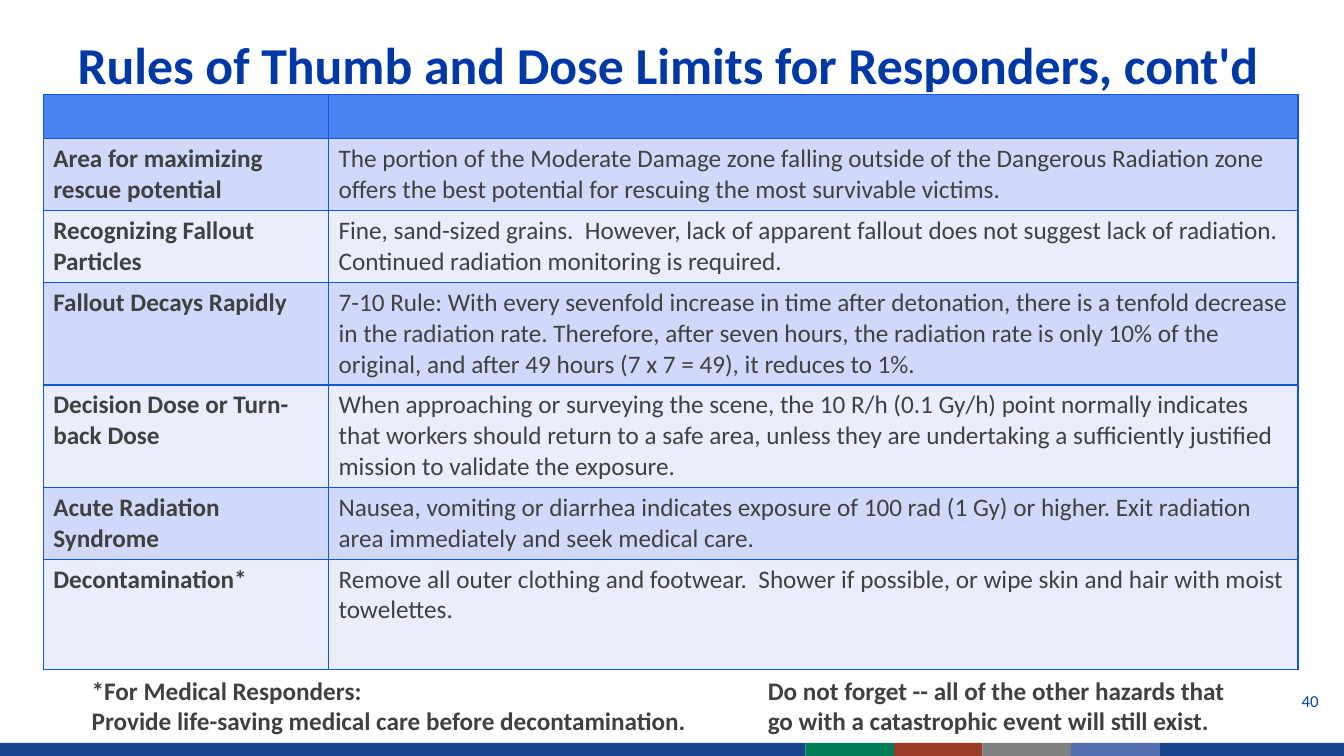
"""Build the slide on rules of thumb and dose limits for responders."""
from dataclasses import dataclass

from lxml import etree
from pptx import Presentation
from pptx.dml.color import RGBColor
from pptx.enum.shapes import MSO_SHAPE
from pptx.enum.text import MSO_ANCHOR, MSO_AUTO_SIZE, PP_ALIGN
from pptx.oxml.ns import qn
from pptx.slide import Slide
from pptx.table import _Cell
from pptx.text.text import TextFrame
from pptx.util import Cm, Pt

RECT = MSO_SHAPE.RECTANGLE
TOP, BOTTOM = MSO_ANCHOR.TOP, MSO_ANCHOR.BOTTOM
LEFT, RIGHT = PP_ALIGN.LEFT, PP_ALIGN.RIGHT
FIXED = MSO_AUTO_SIZE.NONE


@dataclass(frozen=True)
class Theme:
    """Hold the colours and type sizes."""
    font: str = "Calibri"
    title: str = "0039A6"
    text: str = "404040"
    page: str = "0B41A5"
    edge: str = "0F56DC"
    head: str = "4983F2"
    bands: tuple[str, str] = ("D0D9FA", "E9EDFC")
    large: float = 37
    body: float = 18
    small: float = 12


@dataclass(frozen=True)
class Rule:
    """Describe one table row."""
    name: str
    text: str
    height: float


@dataclass(frozen=True)
class Note:
    """Describe one text box, in centimetres."""
    lines: tuple[str, ...]
    left: float
    top: float
    width: float
    height: float


@dataclass(frozen=True)
class Bar:
    """Describe one piece of the footer band."""
    color: str
    left: float
    width: float


THEME = Theme()
TWO, THREE = 1.81, 2.58
RULES = (
    Rule("Area for maximizing rescue potential",
         "The portion of the Moderate Damage zone falling outside of the Dangerous Radiation zone "
         "offers the best potential for rescuing the most survivable victims.", TWO),
    Rule("Recognizing Fallout Particles",
         "Fine, sand-sized grains.  However, lack of apparent fallout does not suggest lack of "
         "radiation.  Continued radiation monitoring is required.", TWO),
    Rule("Fallout Decays Rapidly",
         "7-10 Rule: With every sevenfold increase in time after detonation, there is a tenfold "
         "decrease in the radiation rate. Therefore, after seven hours, the radiation rate is only "
         "10% of the original, and after 49 hours (7 x 7 = 49), it reduces to 1%.", THREE),
    Rule("Decision Dose or Turn-back Dose",
         "When approaching or surveying the scene, the 10 R/h (0.1 Gy/h) point normally indicates "
         "that workers should return to a safe area, unless they are undertaking a sufficiently "
         "justified mission to validate the exposure.", THREE),
    Rule("Acute Radiation Syndrome",
         "Nausea, vomiting or diarrhea indicates exposure of 100 rad (1 Gy) or higher. Exit "
         "radiation area immediately and seek medical care.", TWO),
    Rule("Decontamination*",
         "Remove all outer clothing and footwear.  Shower if possible, or wipe skin and hair with "
         "moist towelettes.", 2.78),
)
NOTES = (
    Note(("*For Medical Responders:", "Provide life-saving medical care before decontamination."),
         2.06, 16.89, 16.08, 1.8),
    Note(("Do not forget -- all of the other hazards that go with a catastrophic event "
          "will still exist.",), 19.1, 16.89, 12.5, 1.8),
)
PAGE = Note(("40",), 25.86, 17.27, 7.62, 1.02)
STEP = 2.23
START = 20.3
TILES = ("007D57", "993B25", "7F8080", "536DB3")
END = START + STEP * len(TILES)
BARS = (
    Bar("17468F", 0, START),
    *(Bar(color, START + STEP * i, STEP) for i, color in enumerate(TILES)),
    Bar("17468F", END, 33.87 - END),
)


def write(frame: TextFrame, *lines: str, size: float = THEME.body, color: str = THEME.text,
          bold: bool = False, align: PP_ALIGN = LEFT, anchor: MSO_ANCHOR = TOP,
          pitch: float | None = None) -> None:
    """Fill a text frame with formatted paragraphs."""
    frame.word_wrap = True
    frame.vertical_anchor = anchor
    for i, line in enumerate(lines):
        para = frame.add_paragraph() if i else frame.paragraphs[0]
        para.text = line
        para.alignment = align
        if pitch:
            para.line_spacing = Pt(pitch)
        font = para.font
        font.name, font.size, font.bold = THEME.font, Pt(size), bold
        font.color.rgb = RGBColor.from_string(color)


def paint(cell: _Cell, color: str) -> None:
    """Give a cell its borders and fill."""
    props = cell._tc.get_or_add_tcPr()
    for side in ("a:lnL", "a:lnR", "a:lnT", "a:lnB"):
        line = etree.SubElement(props, qn(side), w=str(Pt(1)))
        fill = etree.SubElement(line, qn("a:solidFill"))
        etree.SubElement(fill, qn("a:srgbClr"), val=THEME.edge)
    cell.fill.solid()
    cell.fill.fore_color.rgb = RGBColor.from_string(color)


def add_bar(slide: Slide, bar: Bar) -> None:
    """Draw one piece of the footer band."""
    shape = slide.shapes.add_shape(RECT, Cm(bar.left), Cm(18.72), Cm(bar.width), Cm(0.33))
    shape.shadow.inherit = False
    shape.fill.solid()
    shape.fill.fore_color.rgb = RGBColor.from_string(bar.color)
    shape.line.fill.background()


def add_title(slide: Slide, text: str) -> None:
    """Place and fill the title."""
    title = slide.shapes.title
    title.left, title.top, title.width, title.height = Cm(1.7), Cm(0.76), Cm(30.48), Cm(1.75)
    title.text_frame.auto_size = FIXED
    write(title.text_frame, text, size=THEME.large, color=THEME.title, bold=True,
          anchor=BOTTOM, pitch=40)


def add_rules(slide: Slide, rules: tuple[Rule, ...]) -> None:
    """Draw the table of rules below an empty header row."""
    rows = (Rule("", "", 1.11), *rules)
    widths = (7.19, 24.43)
    table = slide.shapes.add_table(len(rows), len(widths), Cm(1.09), Cm(2.39), Cm(sum(widths)),
                                   Cm(sum(row.height for row in rows))).table
    for col, width in zip(table.columns, widths):
        col.width = Cm(width)
    for i, rule in enumerate(rows):
        table.rows[i].height = Cm(rule.height)
        color = THEME.bands[(i - 1) % 2] if i else THEME.head
        for j, text in enumerate((rule.name, rule.text)):
            cell = table.cell(i, j)
            paint(cell, color)
            write(cell.text_frame, text, bold=j == 0)


def add_note(slide: Slide, note: Note, **style) -> None:
    """Add one text box."""
    box = slide.shapes.add_textbox(Cm(note.left), Cm(note.top), Cm(note.width), Cm(note.height))
    write(box.text_frame, *note.lines, **style)


def main() -> None:
    """Build and save the deck."""
    deck = Presentation()
    deck.slide_width, deck.slide_height = Cm(33.87), Cm(19.05)
    slide = deck.slides.add_slide(deck.slide_layouts[5])
    for bar in BARS:
        add_bar(slide, bar)
    add_title(slide, "Rules of Thumb and Dose Limits for Responders, cont'd")
    add_rules(slide, RULES)
    for note in NOTES:
        add_note(slide, note, bold=True)
    add_note(slide, PAGE, size=THEME.small, color=THEME.page, align=RIGHT)
    deck.save("out.pptx")


if __name__ == "__main__":
    main()
